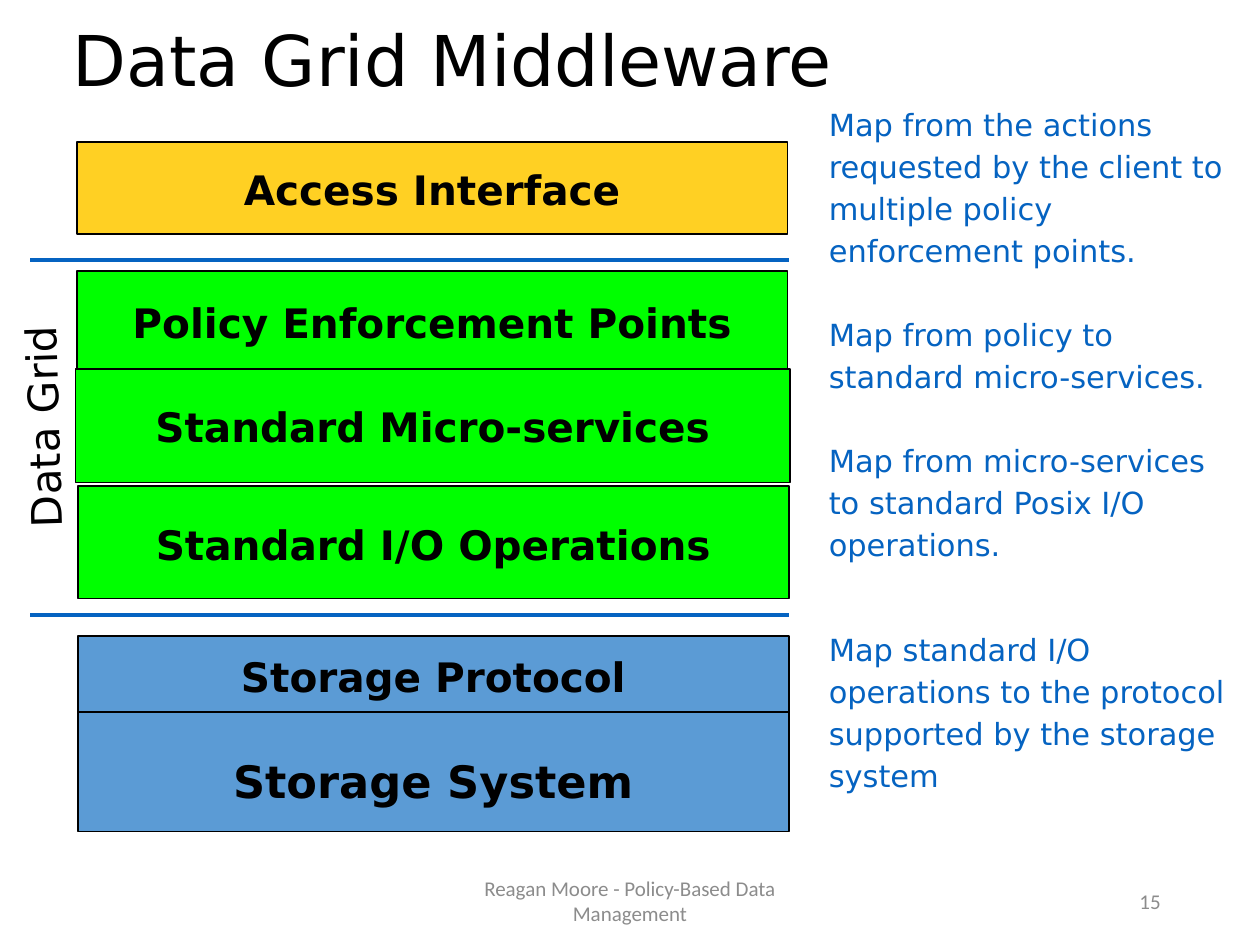
from lxml import etree
from pptx import Presentation, util as u
from pptx.dml.color import RGBColor
from pptx.enum import shapes, text
from pptx.oxml.ns import qn

BLACK = RGBColor(0x00, 0x00, 0x00)
BLUE = RGBColor(0x5B, 0x9B, 0xD5)
YELLOW = RGBColor(0xFF, 0xD0, 0x23)
GREEN = RGBColor(0x00, 0xFF, 0x00)
LINK = RGBColor(0x05, 0x63, 0xC1)
GREY = RGBColor(0x8C, 0x8C, 0x8C)

COLS, ROWS = 100, 75
LEFT, RIGHT = 6.2, 62.6
MIDDLE = text.MSO_ANCHOR.MIDDLE
CENTER, ALIGN_RIGHT = text.PP_ALIGN.CENTER, text.PP_ALIGN.RIGHT


class Deck:
    """Slide style; all lengths are columns and rows of a 100 x 75 grid."""
    font = "DejaVu Sans"

    def __init__(self, prs):
        self.s = prs.slides.add_slide(prs.slide_layouts[6])
        self.col = prs.slide_width / COLS
        self.row = prs.slide_height / ROWS

    def place(self, x, y, w, h):
        return (round(x * self.col), round(y * self.row),
                round(w * self.col), round(h * self.row))

    def run(self, p, words, size, color, font=None, bold=None, raised=False):
        """Add one run; raised lifts it 4 % off the baseline."""
        r = p.add_run()
        r.text = words
        r.font.name = font or self.font
        r.font.size = u.Pt(size)
        r.font.bold = bold
        r.font.color.rgb = color
        if raised:
            r._r.get_or_add_rPr().set("baseline", "4000")

    def layer(self, words, y, h, fill, size=40, foot=8, x=LEFT, w=RIGHT - LEFT):
        """Add a band of the stack; foot is the points kept free below its label."""
        sp = self.s.shapes.add_shape(shapes.MSO_SHAPE.RECTANGLE,
                                     *self.place(x, y, w, h))
        sp.shadow.inherit = False
        sp.fill.solid()
        sp.fill.fore_color.rgb = fill
        sp.line.color.rgb = BLACK
        sp.line.width = u.Pt(1)
        tf = sp.text_frame
        tf.word_wrap = False
        tf.vertical_anchor = MIDDLE
        tf.margin_bottom = u.Pt(3.6 + 1.17 * foot)
        p = tf.paragraphs[0]
        p.alignment = CENTER
        self.run(p, words, size, BLACK, bold=True, raised=True)

    def label(self, words, box, size, color=BLACK, font=None, anchor=MIDDLE,
              align=None, spacing=None, rotation=0):
        sp = self.s.shapes.add_textbox(*self.place(*box))
        sp.rotation = rotation
        tf = sp.text_frame
        tf.word_wrap = True
        tf.vertical_anchor = anchor
        p = tf.paragraphs[0]
        p.alignment = align
        p.line_spacing = spacing
        self.run(p, words, size, color, font)

    def mappings(self, items, box):
        """Add explanations as (words, points of space after) paragraphs."""
        tf = self.s.shapes.add_textbox(*self.place(*box)).text_frame
        tf.word_wrap = True
        for i, (words, gap) in enumerate(items):
            p = tf.add_paragraph() if i else tf.paragraphs[0]
            p.line_spacing = u.Pt(24)
            p.space_after = u.Pt(gap)
            self.run(p, words, 30, LINK, raised=True)

    def divider(self, y):
        x1, y1, x2, y2 = self.place(2.4, y, RIGHT, y)
        ln = self.s.shapes.add_connector(shapes.MSO_CONNECTOR.STRAIGHT,
                                         x1, y1, x2, y2)
        ln.line.color.rgb = LINK
        ln.line.width = u.Pt(2.25)
        etree.SubElement(ln._element.spPr, qn("a:effectLst"))


def main():
    prs = Presentation()
    prs.slide_width, prs.slide_height = u.Inches(10), u.Inches(7.5)
    d = Deck(prs)

    d.label("Data Grid Middleware", (4.8, 0.6, 86.2, 8.9), 40, spacing=0.9)

    d.layer("Storage System", 56.3, 9.7, BLUE, size=44, foot=0)
    d.layer("Storage Protocol", 50.5, 6, BLUE, foot=7)
    d.layer("Access Interface", 11.3, 7.3, YELLOW, x=6.1)
    d.layer("Policy Enforcement Points", 21.5, 8.1, GREEN, x=6.1)
    d.layer("Standard Micro-services", 29.3, 9, GREEN, x=6, w=56.7)
    d.layer("Standard I/O Operations", 38.6, 8.9, GREEN, foot=7)

    d.mappings([
        ("Map from the actions requested by the client to multiple policy "
         "enforcement points.", 24),
        ("Map from policy to standard micro-services.", 24),
        ("Map from micro-services to standard Posix I/O operations.", 36),
        ("Map standard I/O operations to the protocol supported by the "
         "storage system", 0),
    ], (64.8, 8, 33.4, 61.6))

    for y in (20.6, 48.8):
        d.divider(y)
    d.label("Data Grid", (-6.5, 30.5, 19.7, 5), 24,
            anchor=text.MSO_ANCHOR.TOP, rotation=268.3)

    d.label("Reagan Moore - Policy-Based Data Management",
            (33.1, 69.5, 33.8, 4), 12, GREY, "Calibri", align=CENTER)
    d.label("15", (70.6, 69.5, 22.5, 4), 12, GREY, "Calibri", align=ALIGN_RIGHT)

    prs.save("out.pptx")


if __name__ == "__main__":
    main()
